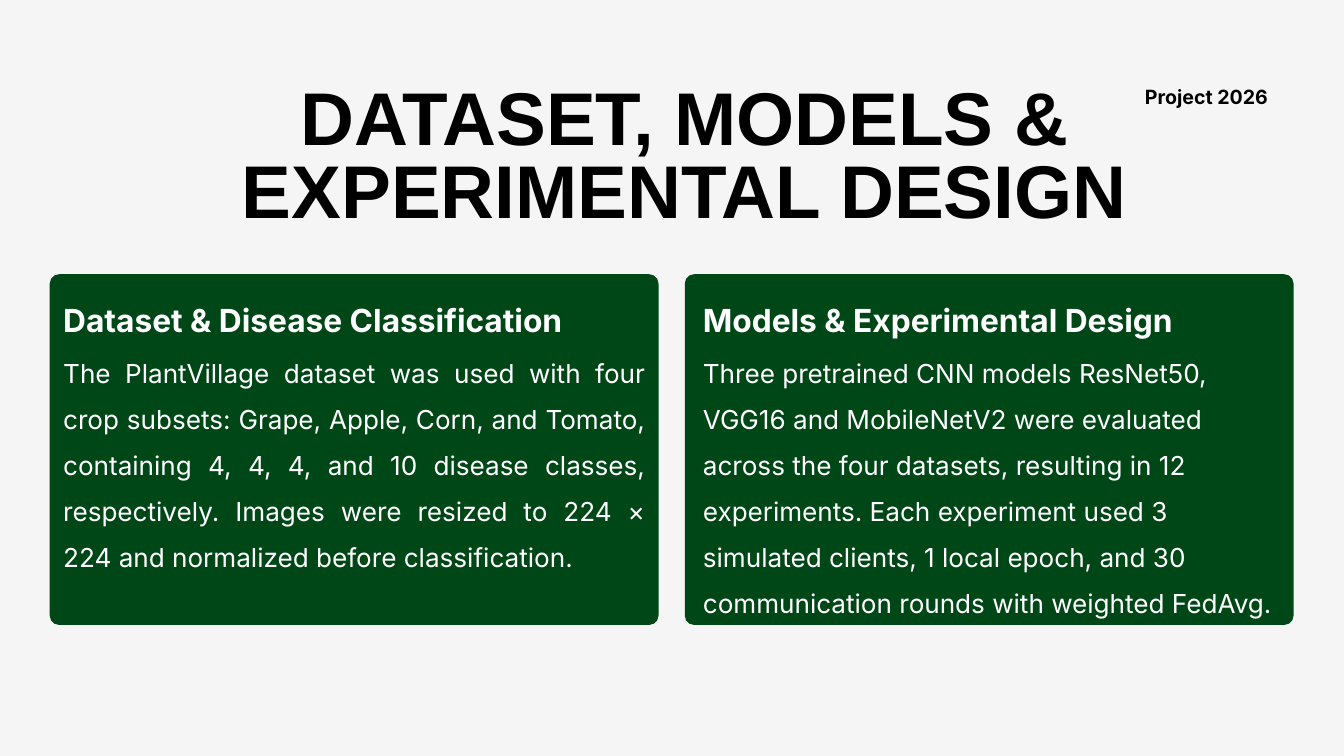
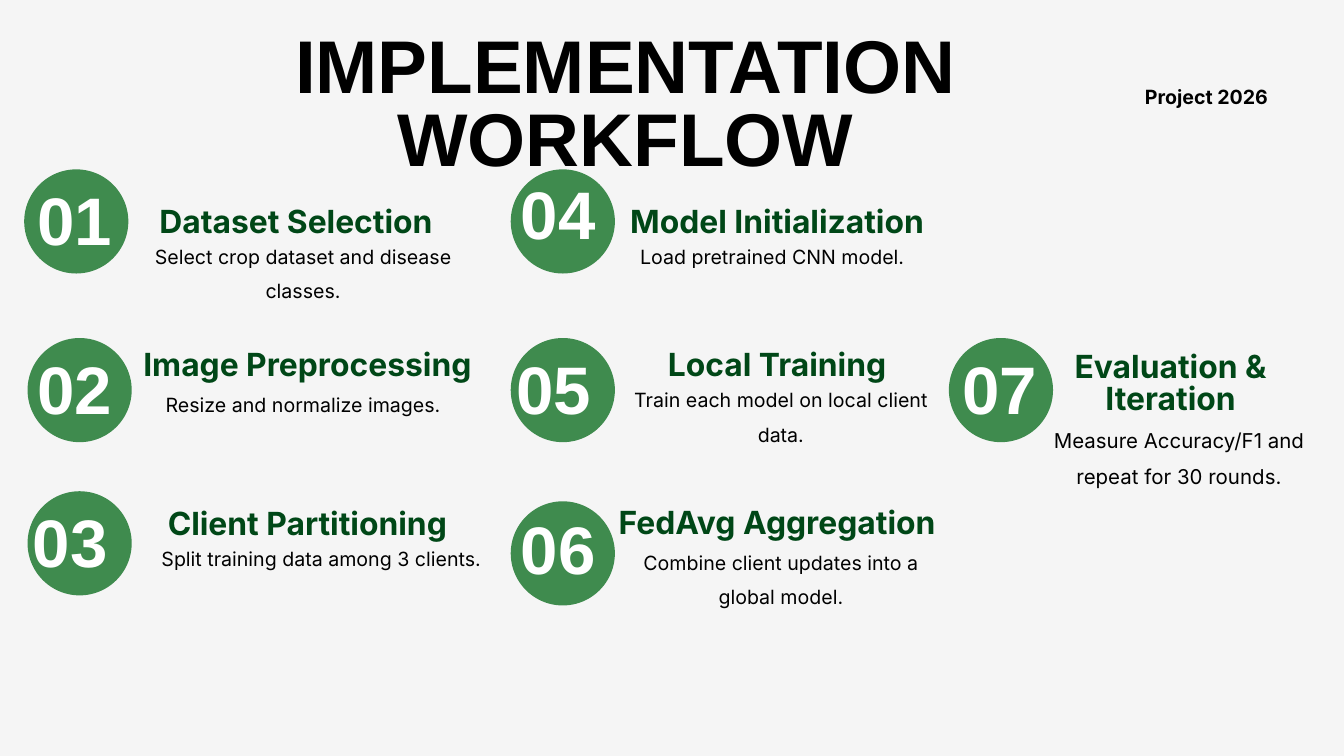
from dataclasses import dataclass

from pptx import Presentation
from pptx.dml.color import RGBColor
from pptx.enum.shapes import MSO_SHAPE
from pptx.enum.text import MSO_ANCHOR, MSO_AUTO_SIZE, PP_ALIGN
from pptx.util import Inches, Pt

ROUNDED, OVAL = MSO_SHAPE.ROUNDED_RECTANGLE, MSO_SHAPE.OVAL
LEFT, CENTER, RIGHT, JUSTIFY = (PP_ALIGN.LEFT, PP_ALIGN.CENTER,
                                PP_ALIGN.RIGHT, PP_ALIGN.JUSTIFY)
TOP, NO_FIT = MSO_ANCHOR.TOP, MSO_AUTO_SIZE.NONE

PAPER = RGBColor(0xF5, 0xF5, 0xF5)
INK = RGBColor(0x00, 0x00, 0x00)
WHITE = RGBColor(0xFF, 0xFF, 0xFF)
FOREST = RGBColor(0x00, 0x47, 0x17)
LEAF = RGBColor(0x3F, 0x8B, 0x4E)
DISPLAY, TEXT = "Arial", "Inter"

SLIDE_W, SLIDE_H = 20, 11.25
COMPARISON, TITLE_ONLY = 4, 5

# Card grid of the design slide
CARD_LEFT, CARD_TOP, CARD_W, CARD_H, CARD_GAP = 0.74, 4.08, 9.06, 5.22, 0.39
CARD_RADIUS = 0.14

# Step grid of the workflow slide
STEP_COLUMNS = (0.41, 7.6, 14.12)
STEP_ROWS = (2.52, 5.03, 7.31)
BADGE = 1.55


@dataclass(frozen=True)
class Style:
    font: str
    size: float
    line: float
    color: RGBColor
    bold: bool = False
    align: PP_ALIGN = CENTER


TITLE = Style(DISPLAY, 80, 78.4, INK, True)
TAG = Style(TEXT, 21, 21, INK, True, RIGHT)
CARD_HEADING = Style(TEXT, 34, 48, WHITE, True, LEFT)
CARD_JUSTIFIED = Style(TEXT, 28, 49.3, WHITE, align=JUSTIFY)
CARD_RAGGED = Style(TEXT, 28, 49.3, WHITE, align=LEFT)
STEP_NUMBER = Style(DISPLAY, 72, 70.6, WHITE, True, JUSTIFY)
STEP_HEADING = Style(TEXT, 34.1, 33.4, FOREST, True)
STEP_CAPTION = Style(TEXT, 21, 37, INK)
LAST_CAPTION = Style(TEXT, 21.9, 38.6, INK)


@dataclass(frozen=True)
class Card:
    heading: str
    body: str
    inset: float
    body_width: float
    body_style: Style


CARDS = (
    Card("Dataset & Disease Classification",
         "The PlantVillage dataset was used with four crop subsets: Grape, Apple, "
         "Corn, and Tomato, containing 4, 4, 4, and 10 disease classes, respectively. "
         "Images were resized to 224 × 224 and normalized before classification.",
         0.2, 8.66, CARD_JUSTIFIED),
    Card("Models & Experimental Design",
         "Three pretrained CNN models ResNet50, VGG16 and MobileNetV2 were evaluated "
         "across the four datasets, resulting in 12 experiments. Each experiment used "
         "3 simulated clients, 1 local epoch, and 30 communication rounds with "
         "weighted FedAvg.",
         0.27, 8.52, CARD_RAGGED),
)


@dataclass(frozen=True)
class Step:
    """A grid cell and the offsets of its parts from the badge corner."""
    column: int
    row: int
    heading: str
    caption: str
    number_at: tuple
    heading_at: tuple
    caption_at: tuple
    nudge: tuple = (0, 0)
    heading_width: float = 5.11
    caption_width: float = 4.82
    caption_style: Style = STEP_CAPTION


STEPS = (
    Step(0, 0, "Dataset Selection", "Select crop dataset and disease classes.",
         (0.2, 0.35), (1.49, 0.59), (1.74, 0.96), nudge=(-0.05, 0)),
    Step(0, 1, "Image Preprocessing", "Resize and normalize images.",
         (0.15, 0.36), (1.61, 0.2), (1.69, 0.66)),
    Step(0, 2, "Client Partitioning", "Split training data among 3 clients.",
         (0.08, 0.36), (1.61, 0.29), (1.96, 0.67)),
    Step(1, 0, "Model Initialization", "Load pretrained CNN model.",
         (0.15, 0.26), (1.41, 0.59), (1.48, 0.96)),
    Step(1, 1, "Local Training", "Train each model on local client data.",
         (0.08, 0.36), (1.41, 0.2), (1.61, 0.58)),
    Step(1, 2, "FedAvg Aggregation", "Combine client updates into a global model.",
         (0.15, 0.31), (1.41, 0.12), (1.61, 0.57), nudge=(0, 0.15)),
    Step(2, 1, "Evaluation & Iteration",
         "Measure Accuracy/F1 and repeat for 30 rounds.",
         (0.2, 0.36), (1.15, 0.24), (1.15, 1.17), heading_width=4.3,
         caption_width=4.55, caption_style=LAST_CAPTION),
)


def inches(box):
    return [Inches(length) for length in box]


def write(shape, text, style):
    """Fill a text box or placeholder with one styled paragraph."""
    frame = shape.text_frame
    frame.text = text
    frame.word_wrap, frame.auto_size, frame.vertical_anchor = True, NO_FIT, TOP
    frame.margin_left = frame.margin_right = frame.margin_top = frame.margin_bottom = 0
    paragraph = frame.paragraphs[0]
    paragraph.alignment = style.align
    paragraph.line_spacing = Pt(style.line)
    paragraph.space_before = Pt(0)
    font = paragraph.runs[0].font
    font.name, font.size, font.bold = style.font, Pt(style.size), style.bold
    font.color.rgb = style.color


def add_label(slide, box, text, style):
    write(slide.shapes.add_textbox(*inches(box)), text, style)


def fill_placeholder(placeholder, box, text, style):
    (placeholder.left, placeholder.top,
     placeholder.width, placeholder.height) = inches(box)
    write(placeholder, text, style)


def add_panel(slide, preset, box, color):
    panel = slide.shapes.add_shape(preset, *inches(box))
    panel.shadow.inherit = False
    panel.fill.solid()
    panel.fill.fore_color.rgb = color
    panel.line.fill.background()
    return panel


def add_slide(deck, layout, title, title_box):
    """Start a slide with the shared title style and project tag."""
    slide = deck.slides.add_slide(deck.slide_layouts[layout])
    fill_placeholder(slide.shapes.title, title_box, title, TITLE)
    add_label(slide, (16.43, 1.32, 2.44, 0.32), "Project 2026", TAG)
    return slide


def add_card(slide, box, card, heading, body):
    left, top, width, height = box
    panel = add_panel(slide, ROUNDED, box, FOREST)
    panel.adjustments[0] = CARD_RADIUS / height
    slide.shapes.element.insert(2, panel.element)  # behind the placeholders
    text_left = left + card.inset
    fill_placeholder(heading, (text_left, top + 0.29, width - 2 * card.inset, 0.67),
                     card.heading, CARD_HEADING)
    fill_placeholder(body, (text_left, top + 1.02, card.body_width, 4.02),
                     card.body, card.body_style)
    # The body is running text: no bullet, no hanging indent
    properties = body.text_frame.paragraphs[0]._p.get_or_add_pPr()
    properties.set("marL", "0")
    properties.set("indent", "0")
    bullet = properties.makeelement(
        "{http://schemas.openxmlformats.org/drawingml/2006/main}buNone", {})
    properties.append(bullet)


def add_step(slide, corner, number, step):
    left, top = corner

    def beside(offset, width, height):
        return left + offset[0], top + offset[1], width, height

    add_panel(slide, OVAL, (left, top, BADGE, BADGE), LEAF)
    add_label(slide, beside(step.number_at, 1.33, 1.03), f"{number:02}", STEP_NUMBER)
    add_label(slide, beside(step.heading_at, step.heading_width, 0.5),
              step.heading, STEP_HEADING)
    add_label(slide, beside(step.caption_at, step.caption_width, 0.98),
              step.caption, step.caption_style)


def build_design(deck):
    slide = add_slide(deck, COMPARISON, "DATASET, MODELS & EXPERIMENTAL DESIGN",
                      (3.43, 1.3, 13.52, 2.23))
    holders = {holder.placeholder_format.idx: holder for holder in slide.placeholders}
    for column, card in enumerate(CARDS):
        left = CARD_LEFT + column * (CARD_W + CARD_GAP)
        add_card(slide, (left, CARD_TOP, CARD_W, CARD_H), card,
                 holders[2 * column + 1], holders[2 * column + 2])


def build_workflow(deck):
    slide = add_slide(deck, TITLE_ONLY, "IMPLEMENTATION WORKFLOW",
                      (3.35, 0.52, 11.92, 2.23))
    for number, step in enumerate(STEPS, start=1):
        corner = (STEP_COLUMNS[step.column] + step.nudge[0],
                  STEP_ROWS[step.row] + step.nudge[1])
        add_step(slide, corner, number, step)


def main():
    deck = Presentation()
    deck.slide_width, deck.slide_height = Inches(SLIDE_W), Inches(SLIDE_H)
    backdrop = deck.slide_master.background.fill
    backdrop.solid()
    backdrop.fore_color.rgb = PAPER
    build_design(deck)
    build_workflow(deck)
    deck.save("out.pptx")


if __name__ == "__main__":
    main()
